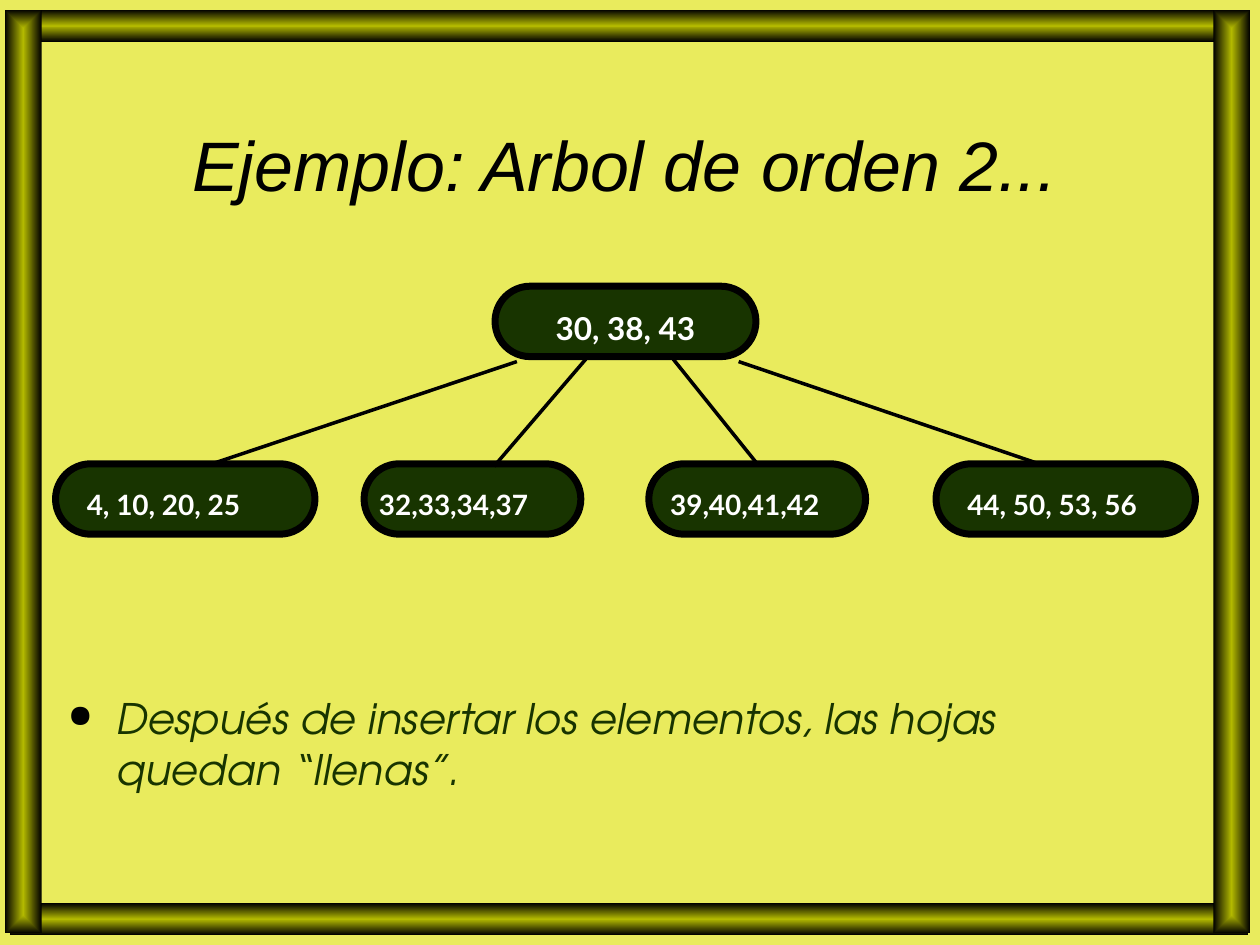
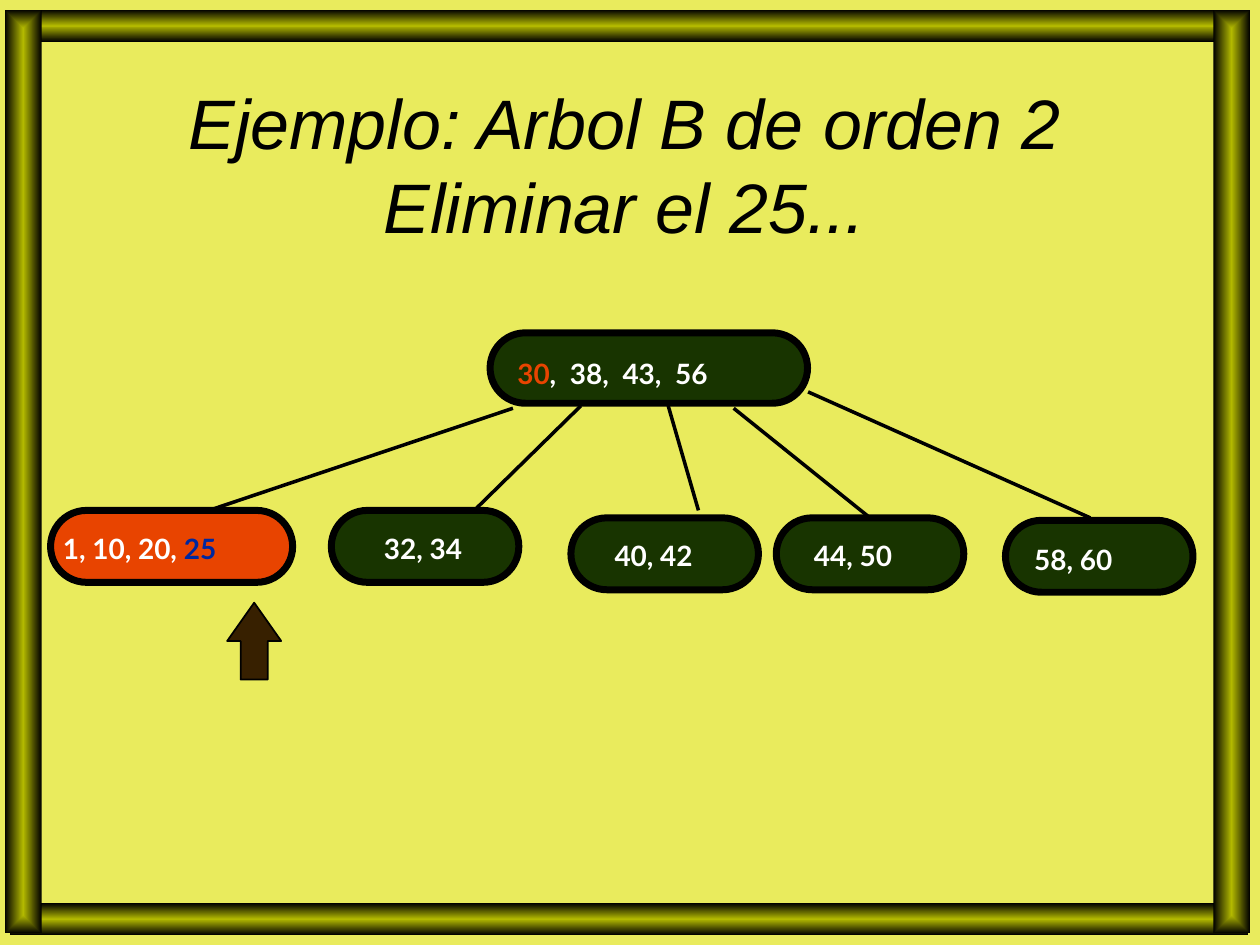
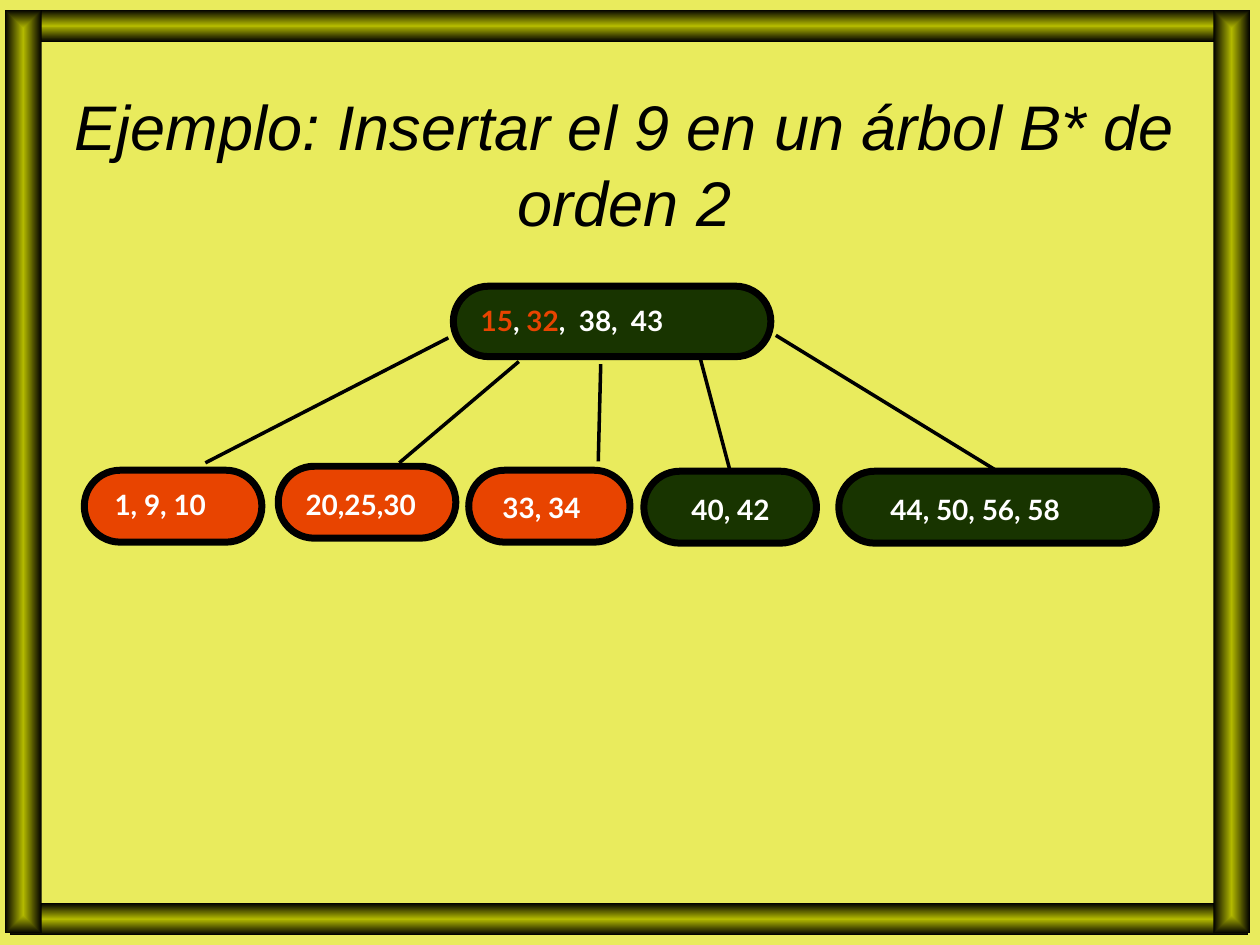
from dataclasses import dataclass

from lxml import etree
from pptx import Presentation
from pptx import util as u
from pptx.dml import color
from pptx.enum import shapes, text
from pptx.oxml import ns

PAPER, GOLD, BLACK, WHITE = "E9EB5D", "B3B900", "000000", "FFFFFF"
GREEN, ORANGE, BLUE, BROWN = "183400", "E84400", "00279F", "372000"
TITLE_FONT, BODY_FONT, KEY_FONT = "Arial", "TeX Gyre Adventor", "Lato"
ROOT_HEIGHT, LEAF_HEIGHT = 1.42, 1.45
TITLE_BOX = (0.84, 1.7, 23.5, 3.18)
FRAME_BARS = [
    (0.2, 0.2, 24.97, 0.64),
    (0.2, 18.21, 24.97, 0.64),
    (0.1, 0.2, 0.74, 18.62),
    (24.46, 0.2, 0.74, 18.62),
]


@dataclass
class Node:
    keys: list
    left: float
    top: float
    width: float
    height: float = LEAF_HEIGHT
    fill: str = GREEN
    indent: tuple = (0.3, 0.3)
    size: int = 16
    tabs: tuple = ()
    edge_start: tuple = None
    edge_end: tuple = None


def rgb(hex_value):
    return color.RGBColor.from_string(hex_value)


def lengths(*values):
    return [u.Cm(value) for value in values]


def add_child(parent, tag, **attributes):
    return etree.SubElement(parent, ns.qn(tag), attributes)


def add_text_frame(slide, box):
    frame = slide.shapes.add_textbox(*lengths(*box)).text_frame
    frame.word_wrap = True
    return frame


def add_run(paragraph, words, font_name, size, hex_value, bold=False, italic=False):
    run = paragraph.add_run()
    run.text = words
    run.font.name, run.font.size = font_name, u.Pt(size)
    run.font.bold, run.font.italic = bold, italic
    run.font.color.rgb = rgb(hex_value)


def add_filled_shape(slide, kind, box, fill, line_width):
    shape = slide.shapes.add_shape(kind, *lengths(*box))
    shape.shadow.inherit = False
    shape.fill.solid()
    shape.fill.fore_color.rgb = rgb(fill)
    shape.line.color.rgb = rgb(BLACK)
    shape.line.width = u.Pt(line_width)
    return shape


def add_frame(slide):
    for box in FRAME_BARS:
        bar = slide.shapes.add_shape(shapes.MSO_SHAPE.RECTANGLE, *lengths(*box))
        bar.shadow.inherit = False
        bar.line.fill.background()
        bar.fill.gradient()
        for stop, hex_value in zip(bar.fill.gradient_stops, (GOLD, BLACK)):
            stop.color.rgb = rgb(hex_value)
        gradient = bar.element.find(".//" + ns.qn("a:gradFill"))
        gradient.remove(gradient.find(ns.qn("a:lin")))
        spread = add_child(gradient, "a:path", path="rect")
        add_child(spread, "a:fillToRect", l="50000", t="50000", r="50000", b="50000")


def add_title(slide, words, size):
    frame = add_text_frame(slide, TITLE_BOX)
    frame.vertical_anchor = text.MSO_ANCHOR.MIDDLE
    heading = frame.paragraphs[0]
    heading.alignment = text.PP_ALIGN.CENTER
    add_run(heading, words, TITLE_FONT, size, BLACK, italic=True)


def add_remark(slide, box, words):
    remark = add_text_frame(slide, box).paragraphs[0]
    properties = remark._p.get_or_add_pPr()
    properties.set("marL", str(u.Cm(0.97)))
    properties.set("indent", str(-u.Cm(0.97)))
    add_child(add_child(properties, "a:buClr"), "a:srgbClr", val=BLACK)
    add_child(properties, "a:buSzPct", val="75000")
    add_child(properties, "a:buChar", char="●")
    add_run(remark, words, BODY_FONT, 24, GREEN, italic=True)


def add_node(slide, left, top, node):
    x, y = left + node.left, top + node.top
    pill = add_filled_shape(slide, shapes.MSO_SHAPE.ROUNDED_RECTANGLE,
                            (x, y, node.width, node.height), node.fill, 4)
    pill.adjustments[0] = 0.5
    dx, dy = node.indent
    keys = add_text_frame(slide, (x + dx, y + dy, node.width - dx, 0.91)).paragraphs[0]
    if node.tabs:
        stops = add_child(keys._p.get_or_add_pPr(), "a:tabLst")
        for position in node.tabs:
            add_child(stops, "a:tab", pos=str(u.Cm(position)), algn="l")
    for words, hex_value in node.keys:
        add_run(keys, words, KEY_FONT, node.size, hex_value, bold=True)
    return pill


def add_edge(slide, left, top, leaf, pill):
    start_x, start_y = leaf.edge_start
    end_x, end_y = leaf.edge_end or leaf.edge_start
    edge = slide.shapes.add_connector(
        shapes.MSO_CONNECTOR.STRAIGHT,
        *lengths(left + start_x, top + start_y, left + end_x, top + end_y))
    if leaf.edge_end is None:
        edge.end_connect(pill, 0)
    edge.line.color.rgb = rgb(BLACK)
    edge.line.width = u.Pt(2)
    add_child(edge.element.spPr, "a:effectLst")


def add_tree(slide, left, top, root, leaves):
    add_node(slide, left, top, root)
    for leaf in leaves:
        pill = add_node(slide, left, top, leaf)
        add_edge(slide, left, top, leaf, pill)


def add_pointer(slide, left, top):
    pointer = add_filled_shape(slide, shapes.MSO_SHAPE.UP_ARROW,
                               (left, top, 1.09, 1.55), BROWN, 1)
    pointer.adjustments[0], pointer.adjustments[1] = 0.5, 0.71


def start_slide(prs, title, size=40):
    slide = prs.slides.add_slide(prs.slide_layouts[6])
    add_frame(slide)
    add_title(slide, title, size)
    return slide


def white(words):
    return [(words, WHITE)]


def build_full_leaves(prs):
    slide = start_slide(prs, "Ejemplo: Arbol de orden 2...")
    root = Node(white("30, 38, 43"), 8.86, 0, 5.26, ROOT_HEIGHT,
                indent=(0.97, 0.33), size=18)
    row = 3.58
    leaves = [
        Node(white("4, 10, 20, 25"), 0, row, 5.23, ROOT_HEIGHT, indent=(0.38, 0.36),
             edge_start=(9.3, 1.52), edge_end=(3.07, 3.61)),
        Node(white("32,33,34,37"), 6.22, row, 4.37, ROOT_HEIGHT, indent=(0.05, 0.36),
             edge_start=(10.69, 1.47), edge_end=(8.84, 3.63)),
        Node(white("39,40,41,42"), 11.96, row, 4.37, ROOT_HEIGHT, indent=(0.18, 0.36),
             edge_start=(12.45, 1.47)),
        Node(white("44, 50, 53, 56"), 17.75, row, 5.23, ROOT_HEIGHT, indent=(0.38, 0.36),
             edge_start=(13.77, 1.52), edge_end=(19.91, 3.61)),
    ]
    add_tree(slide, 1.12, 5.77, root, leaves)
    add_remark(slide, (1.12, 13.84, 22.6, 2.84),
               "Después de insertar los elementos, las hojas quedan “llenas”.")


def build_deletion(prs):
    slide = start_slide(prs, "Ejemplo: Arbol B de orden 2 Eliminar el 25...")
    left, top = 1.02, 6.71
    root = Node([("30", ORANGE), (",\t38,\t43,\t56", WHITE)], 8.86, 0, 6.4, ROOT_HEIGHT,
                indent=(0.3, 0.36), tabs=(1.06, 2.12, 3.18))
    leaves = [
        Node([("1, 10, 20, ", WHITE), ("25", BLUE)], 0, 3.58, 4.88, fill=ORANGE,
             indent=(0, 0.3), edge_start=(9.32, 1.52), edge_end=(3.1, 3.61)),
        Node(white("32, 34"), 5.66, 3.58, 3.78, indent=(0.81, 0.3),
             edge_start=(10.69, 1.47), edge_end=(8.59, 3.53)),
        Node(white("40, 42"), 10.49, 3.73, 3.78, indent=(0.63, 0.3),
             edge_start=(12.45, 1.47), edge_end=(13.06, 3.58)),
        Node(white("44, 50"), 14.63, 3.73, 3.78, indent=(0.51, 0.3),
             edge_start=(13.77, 1.52)),
        Node(white("58, 60"), 19.25, 3.78, 3.78, indent=(0.33, 0.33),
             edge_start=(15.27, 1.19), edge_end=(20.96, 3.73)),
    ]
    add_tree(slide, left, top, root, leaves)
    add_pointer(slide, left + 3.56, top + 5.44)


def build_insertion(prs):
    slide = start_slide(prs, "Ejemplo: Insertar el 9 en un árbol B* de orden 2", 36)
    root = Node([("15", ORANGE), (", ", WHITE), ("32", ORANGE), (",\t38,\t43", WHITE)],
                7.44, 0, 6.4, ROOT_HEIGHT, indent=(0.3, 0.23), tabs=(1.98, 3.03))
    leaves = [
        Node(white("1, 9, 10"), 0, 3.71, 3.58, fill=ORANGE, indent=(0.36, 0.23),
             edge_start=(7.34, 1.04), edge_end=(2.44, 3.56)),
        Node(white("20,25,30"), 3.91, 3.63, 3.58, fill=ORANGE,
             edge_start=(8.76, 1.52), edge_end=(6.35, 3.56)),
        Node(white("33, 34"), 7.75, 3.71, 3.25, fill=ORANGE, indent=(0.43, 0.28),
             edge_start=(10.41, 1.57), edge_end=(10.36, 3.53)),
        Node(white("40, 42"), 11.28, 3.73, 3.48, indent=(0.71, 0.3),
             edge_start=(12.42, 1.47)),
        Node(white("44, 50, 56, 58"), 15.21, 3.73, 6.4, indent=(0.79, 0.3),
             edge_start=(13.94, 0.99)),
    ]
    add_tree(slide, 1.7, 5.77, root, leaves)


def main():
    prs = Presentation()
    prs.slide_width, prs.slide_height = lengths(25.4, 19.05)
    paper = prs.slide_master.background.fill
    paper.solid()
    paper.fore_color.rgb = rgb(PAPER)
    build_full_leaves(prs)
    build_deletion(prs)
    build_insertion(prs)
    prs.save("out.pptx")


if __name__ == "__main__":
    main()
